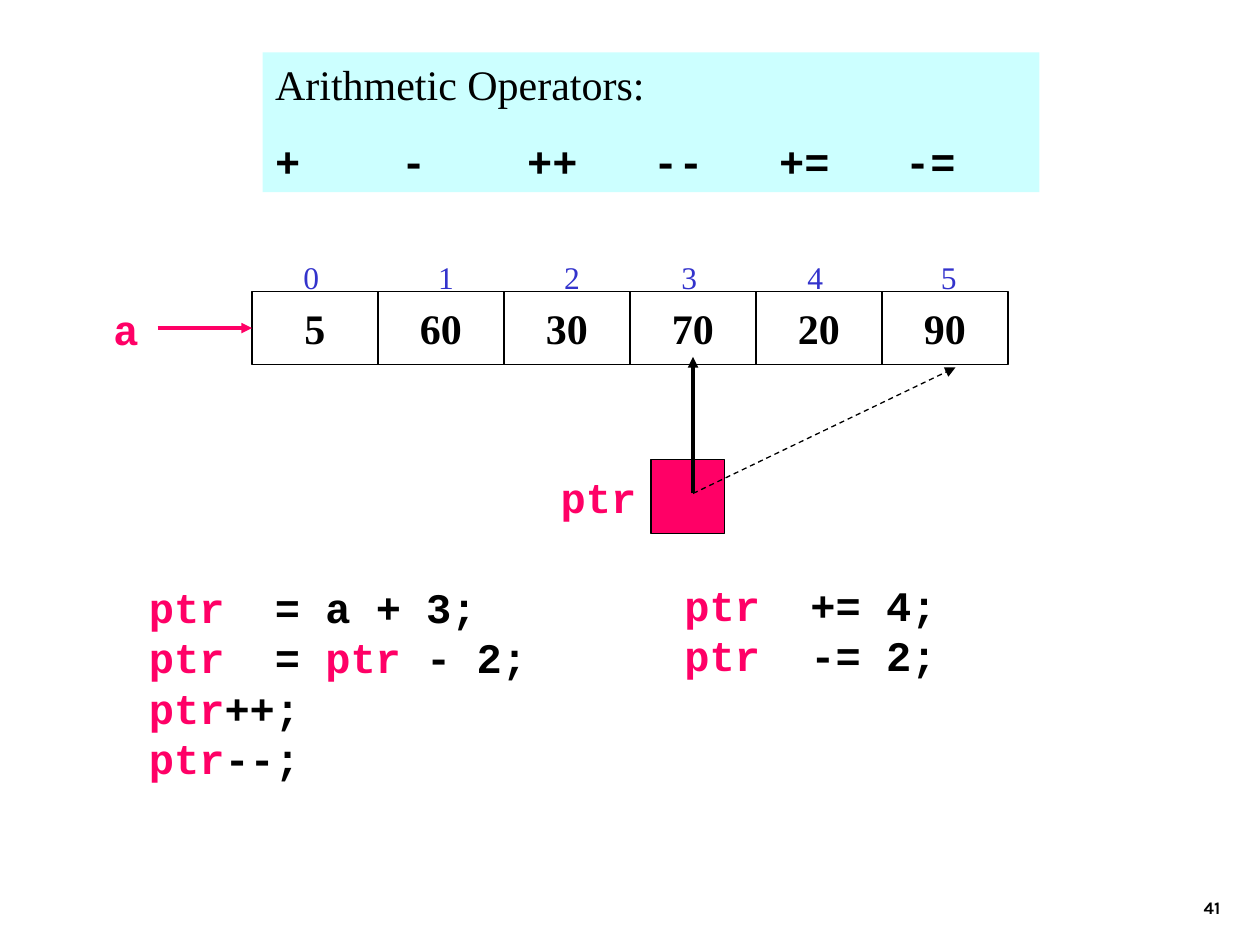
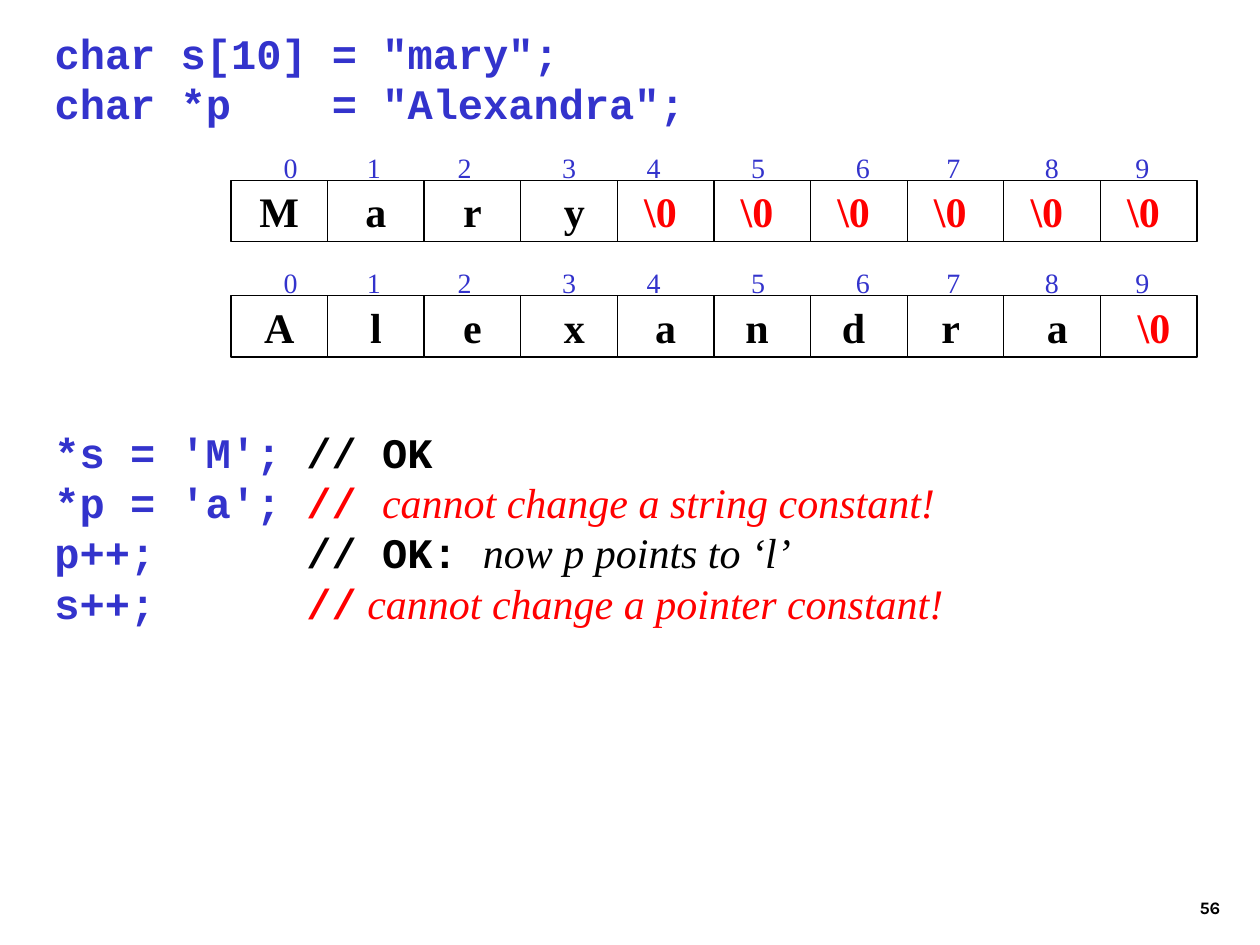
import pptx
import pptx.util
import pptx.dml.color
import pptx.enum.dml
import pptx.enum.shapes
import pptx.enum.text
import pptx.oxml.xmlchemy

Pt = pptx.util.Pt
Inches = pptx.util.Inches
RGBColor = pptx.dml.color.RGBColor
ALIGN = pptx.enum.text.PP_ALIGN
ANCHOR = pptx.enum.text.MSO_ANCHOR
RECT = pptx.enum.shapes.MSO_SHAPE.RECTANGLE
STRAIGHT = pptx.enum.shapes.MSO_CONNECTOR.STRAIGHT
OxmlElement = pptx.oxml.xmlchemy.OxmlElement

BLACK = RGBColor(0x00, 0x00, 0x00)
PINK = RGBColor(0xFF, 0x00, 0x66)
BLUE = RGBColor(0x33, 0x33, 0xCC)
RED = RGBColor(0xFF, 0x00, 0x00)
CYAN = RGBColor(0xCC, 0xFF, 0xFF)
MONO = "Courier New"
SERIF = "Times New Roman"

prs = pptx.Presentation()
prs.slide_width = Inches(10)
prs.slide_height = Inches(7.5)
U = prs.slide_width / 120


def write(sp, box, lines, size=24, font=MONO, bold=True, align=ALIGN.LEFT,
          anchor=ANCHOR.TOP, wrap=True, tabs=range(1, 8), before=0):
    sp.left, sp.top, sp.width, sp.height = [round(n * U) for n in box]
    tf = sp.text_frame
    tf.auto_size = pptx.enum.text.MSO_AUTO_SIZE.NONE
    tf.word_wrap = wrap
    tf.vertical_anchor = anchor
    for i, line in enumerate(lines):
        p = tf.add_paragraph() if i else tf.paragraphs[0]
        p.alignment = align
        p.line_spacing = Pt(size * 1.2)
        p.space_before = Pt(before if i else 0)
        stops = OxmlElement("a:tabLst")
        for tab in tabs:
            stop = OxmlElement("a:tab")
            stop.set("pos", str(Inches(tab)))
            stop.set("algn", "l")
            stops.append(stop)
        p._p.get_or_add_pPr().append(stops)
        for text, color, *face in line:
            r = p.add_run()
            r.text = text
            r.font.size = Pt(size)
            r.font.color.rgb = color
            r.font.name = face[0] if face else font
            r.font.bold = bold and not face
            r.font.italic = bool(face)


def arrow(s, x1, y1, x2, y2, color, width):
    line = s.shapes.add_connector(STRAIGHT, *[round(n * U) for n in (x1, y1, x2, y2)])
    line.line.color.rgb = color
    line.line.width = Pt(width)
    head = OxmlElement("a:tailEnd")
    head.set("type", "triangle")
    line._element.spPr.get_or_add_ln().append(head)
    line._element.spPr.append(OxmlElement("a:effectLst"))
    return line


slides = []
for number in ("41", "56"):
    s = prs.slides.add_slide(prs.slide_layouts[5])
    write(s.shapes.add_textbox(0, 0, 0, 0), (92.4, 82, 25, 6), [[(number, BLACK)]],
          size=10, font="Karla", align=ALIGN.RIGHT, anchor=ANCHOR.BOTTOM)
    slides.append(s)
operators, strings = slides

title = operators.shapes.title
title.fill.solid()
title.fill.fore_color.rgb = CYAN
write(title, (25, 5, 74, 13.3), [
    [("Arithmetic Operators:", BLACK)],
    [("+\t-\t++\t--\t+=\t-=", BLACK)],
], before=15)
heading = title.text_frame.paragraphs[0].runs[0]
heading.font.name = SERIF
heading.font.bold = False

write(strings.shapes.title, (4, 2, 89, 10.8), [
    [('char s[10] = "mary";', BLUE)],
    [('char *p    = "Alexandra";', BLUE)],
])

ten_tabs = (0.32, 0.98, 1.7, 2.53, 3.2, 4.03, 4.86, 5.58, 6.36, 7.08)
arrays = [
    (operators, 24, 27.75, 12, 7, 4.92, 18, (0.31, 1.38, 2.38, 3.31, 4.31, 5.37),
     ["5", "60", "30", "70", "20", "90"]),
    (strings, 22, 17.17, 9.2, 5.83, 4.17, 16, ten_tabs,
     ["M", "a", "r", " y"] + ["\\0 "] * 6),
    (strings, 22, 28.17, 9.2, 5.83, 4.17, 16, ten_tabs,
     ["A", "l", "e", " x", "a", "n ", "d ", "r ", " a", " \\0"]),
]
first_cells = []
for s, left, top, width, height, rise, size, tabs, values in arrays:
    indices = "".join(f"\t{i}" for i in range(len(values)))
    write(s.shapes.add_textbox(0, 0, 0, 0),
          (left, top - rise, width * len(values), height), [[(indices, BLUE)]],
          size=size, font=SERIF, bold=False, anchor=ANCHOR.MIDDLE, tabs=tabs)
    for i, value in enumerate(values):
        cell = s.shapes.add_shape(RECT, 0, 0, 0, 0)
        cell.shadow.inherit = False
        cell.fill.background()
        cell.line.color.rgb = BLACK
        cell.line.width = Pt(0.75)
        write(cell, (left + i * width, top, width, height),
              [[(value, RED if "\\0" in value else BLACK)]],
              font=SERIF, align=ALIGN.CENTER, anchor=ANCHOR.MIDDLE, wrap=False)
        if i == 0:
            first_cells.append(cell)

for name, left, top in (("a", 6, 27.8), ("ptr", 51, 43.8)):
    write(operators.shapes.add_textbox(0, 0, 0, 0), (left, top, 12, 7), [[(name, PINK)]],
          align=ALIGN.CENTER, anchor=ANCHOR.MIDDLE, wrap=False)

pointer = operators.shapes.add_shape(RECT, *[round(n * U) for n in (62, 43.8, 7, 7)])
pointer.shadow.inherit = False
pointer.fill.solid()
pointer.fill.fore_color.rgb = PINK
pointer.line.color.rgb = BLACK
pointer.line.width = Pt(0.75)

to_array = arrow(operators, 15, 31.25, 24, 31.25, PINK, 2)
to_array.end_connect(first_cells[0], 1)
to_last = arrow(operators, 66, 47, 91, 35, BLACK, 0.75)
to_last.line.dash_style = pptx.enum.dml.MSO_LINE.DASH
arrow(operators, 66, 47, 66, 34, BLACK, 2)

write(operators.shapes.add_textbox(0, 0, 0, 0), (13, 54.8, 46, 20.4), [
    [("ptr", PINK), ("  = a + 3;", BLACK)],
    [("ptr", PINK), ("  = ", BLACK), ("ptr", PINK), (" - 2;", BLACK)],
    [("ptr", PINK), ("++;", BLACK)],
    [("ptr", PINK), ("--;", BLACK)],
])
write(operators.shapes.add_textbox(0, 0, 0, 0), (64, 54.6, 46, 10.8), [
    [("ptr", PINK), ("  += 4;", BLACK)],
    [("ptr", PINK), ("  -= 2;", BLACK)],
])
write(strings.shapes.add_textbox(0, 0, 0, 0), (4, 40, 92, 25.2), [
    [("*s = 'M'; ", BLUE), ("// OK", BLACK)],
    [("*p = 'a'; ", BLUE), ("// ", RED), ("cannot change a string constant!", RED, SERIF)],
    [("p++;\t\t", BLUE), ("// OK: ", BLACK), ("now p points to ‘l’", BLACK, SERIF)],
    [("s++;\t\t", BLUE), ("//", RED), (" cannot change a pointer constant!", RED, SERIF)],
])

prs.save("out.pptx")
